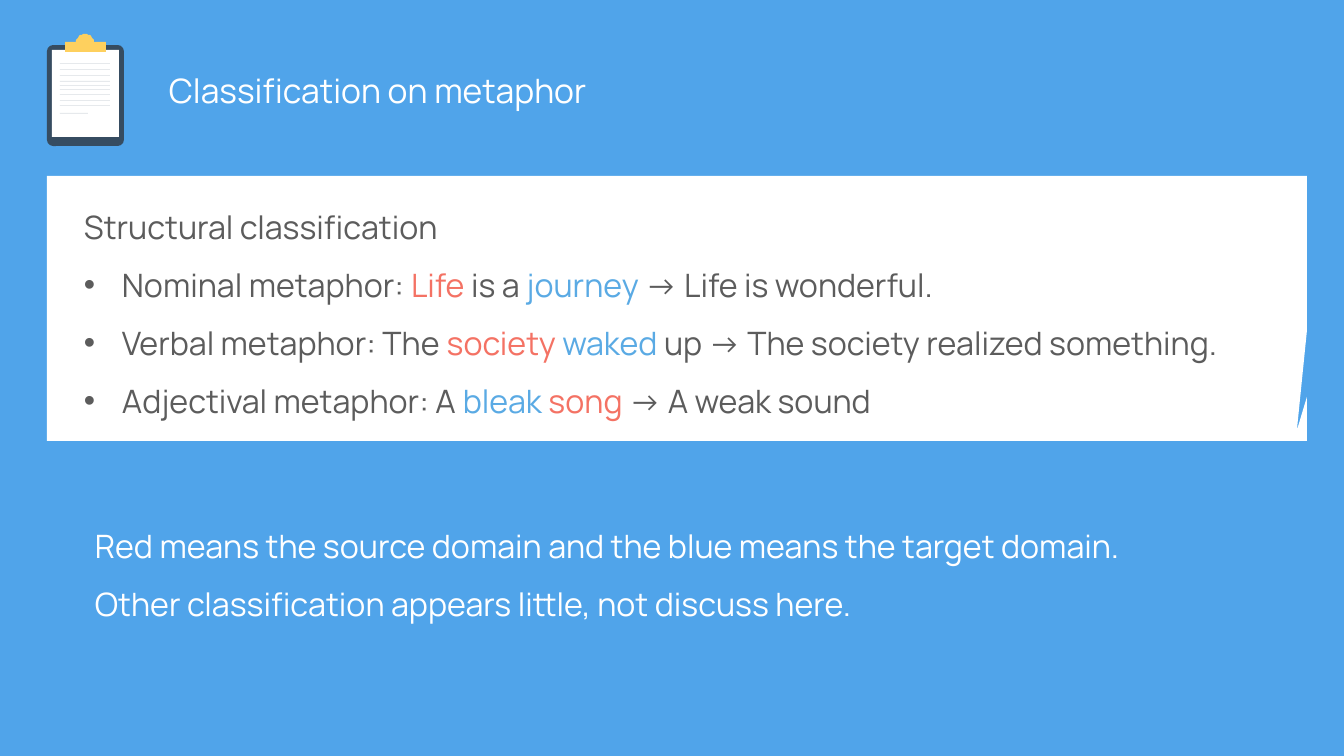
from math import cos, pi, sin
from lxml.etree import SubElement
from pptx import Presentation
from pptx.dml.color import RGBColor
from pptx.enum.shapes import MSO_SHAPE
from pptx.enum.text import MSO_AUTO_SIZE
from pptx.oxml.ns import qn
from pptx.util import Pt

PX = 914400 / 100.8
THEME = {
    "font": "Manrope", "title": 24, "body": 23,
    "sky": "50A4EA", "white": "FFFFFF", "grey": "5C5C5C",
    "red": "F47264", "blue": "5AAAE4",
    "board": "364C61", "clip": "FED05E", "rule": "E6E9EC",
}


def add_block(parent, preset, box, color):
    block = parent.add_shape(preset, *[round(v * PX) for v in box])
    block.shadow.inherit = False
    block.fill.solid()
    block.fill.fore_color.rgb = RGBColor.from_string(THEME[color])
    block.line.fill.background()
    return block


def add_text(box, lines, size, spacing=1.0, wrap=True):
    frame = slide.shapes.add_textbox(*[round(v * PX) for v in box]).text_frame
    frame.word_wrap = wrap
    frame.auto_size = MSO_AUTO_SIZE.SHAPE_TO_FIT_TEXT
    for index, (bulleted, runs) in enumerate(lines):
        paragraph = frame.add_paragraph() if index else frame.paragraphs[0]
        paragraph.line_spacing = spacing
        if bulleted:
            properties = paragraph._p.get_or_add_pPr()
            indent = round(38 * PX)
            properties.set("marL", str(indent))
            properties.set("indent", str(-indent))
            SubElement(properties, qn("a:buFont"), typeface="Arial")
            SubElement(properties, qn("a:buChar"), char="•")
        for words, color in runs:
            run = paragraph.add_run()
            run.text = words
            run.font.name = THEME["font"]
            run.font.size = Pt(THEME[size])
            run.font.color.rgb = RGBColor.from_string(THEME[color])


presentation = Presentation()
presentation.slide_width = round(1344 * PX)
presentation.slide_height = round(756 * PX)
slide = presentation.slides.add_slide(presentation.slide_layouts[6])
backdrop = slide.background.fill
backdrop.solid()
backdrop.fore_color.rgb = RGBColor.from_string(THEME["sky"])

callout = add_block(slide.shapes, MSO_SHAPE.RECTANGULAR_CALLOUT, (47, 176, 1260, 265), "white")
callout.adjustments[0] = 0.492
callout.adjustments[1] = 0.46

clipboard = slide.shapes.add_group_shape().shapes
board = add_block(clipboard, MSO_SHAPE.ROUNDED_RECTANGLE, (47, 45, 77, 101), "board")
board.adjustments[0] = 0.08
add_block(clipboard, MSO_SHAPE.RECTANGLE, (52, 50, 67, 87), "white")

arch = [(85 + 9 * cos(pi * step / 16), 42 - 8 * sin(pi * step / 16)) for step in range(17)]
outline = clipboard.build_freeform(106, 42, scale=PX)
outline.add_line_segments(arch + [(65, 42), (65, 52), (106, 52)], close=True)
clip = outline.convert_to_shape()
clip.shadow.inherit = False
clip.fill.solid()
clip.fill.fore_color.rgb = RGBColor.from_string(THEME["clip"])
clip.line.fill.background()

for rule_top in (63, 69, 75, 81, 85, 89, 94, 100, 105, 113):
    rule_width = 28 if rule_top == 113 else 50
    add_block(clipboard, MSO_SHAPE.RECTANGLE, (60, rule_top, rule_width, 1), "rule")

add_text((159, 65, 444, 50), [(False, [("Classification on metaphor", "white")])], "title", wrap=False)

classification = [
    (False, [("Structural classification", "grey")]),
    (True, [("Nominal metaphor: ", "grey"), ("Life", "red"), (" is a ", "grey"),
            ("journey", "blue"), (" -> Life is wonderful.", "grey")]),
    (True, [("Verbal metaphor: The ", "grey"), ("society ", "red"), ("waked", "blue"),
            (" up -> The society realized something.", "grey")]),
    (True, [("Adjectival metaphor: A ", "grey"), ("bleak ", "blue"), ("song", "red"),
            (" -> A weak sound", "grey")]),
]
add_text((74, 183, 1214, 238), classification, "body", spacing=1.5)

remarks = [
    (False, [("Red means the source domain and the blue means the target domain.", "white")]),
    (False, [("Other classification appears little, not discuss here.", "white")]),
]
add_text((85, 502, 1214, 120), remarks, "body", spacing=1.5)

presentation.save("out.pptx")
